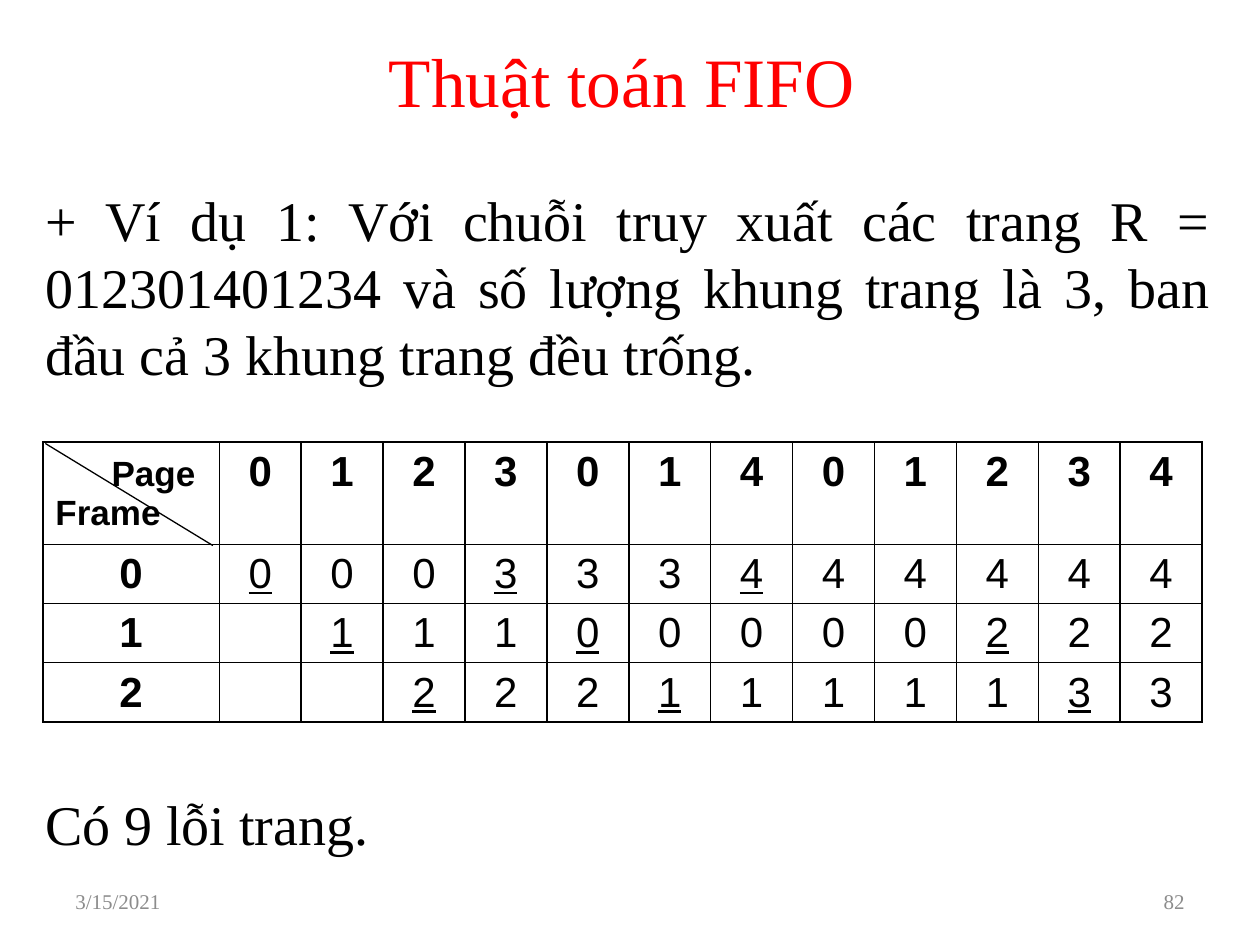
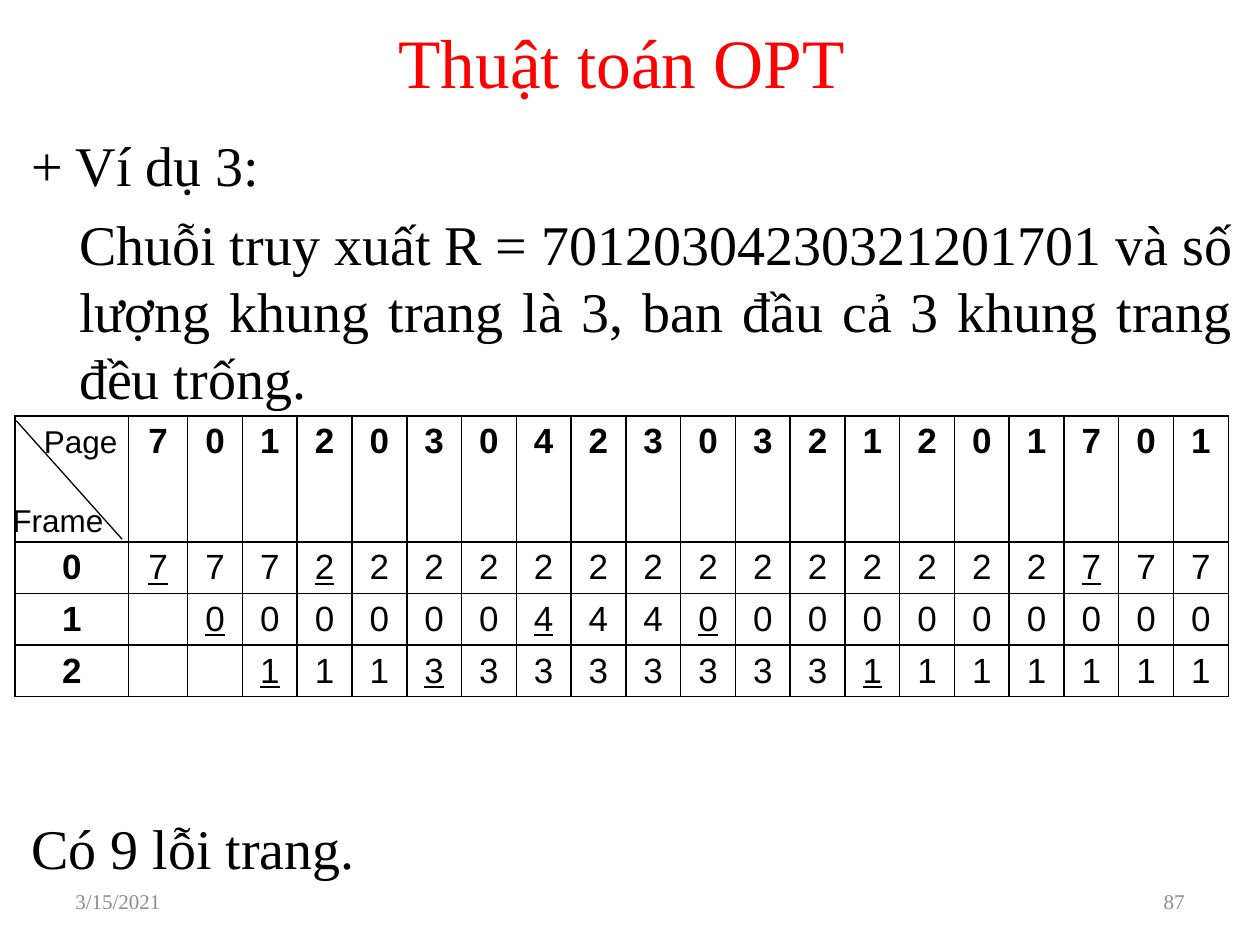
from lxml import etree
from pptx import Presentation
from pptx.dml.color import RGBColor
from pptx.enum import shapes, text
from pptx.oxml import ns
from pptx.util import Inches, Pt

RED = RGBColor(0xFF, 0x00, 0x00)
BLACK = RGBColor(0x00, 0x00, 0x00)
GREY = RGBColor(0x8C, 0x8C, 0x8C)
SERIF, SANS = "Times New Roman", "Arial"
LEFT, CENTER, RIGHT, JUSTIFY = (
    text.PP_ALIGN.LEFT, text.PP_ALIGN.CENTER,
    text.PP_ALIGN.RIGHT, text.PP_ALIGN.JUSTIFY)


def style(para, size, face=SERIF, color=BLACK, align=LEFT, bold=False):
    para.alignment = align
    font = para.font
    font.size, font.name, font.bold = Pt(size), face, bold
    font.color.rgb = color


def place(shape, left, top, width, height):
    shape.left, shape.top = Inches(left), Inches(top)
    shape.width, shape.height = Inches(width), Inches(height)


def add_title(slide, words, top, height):
    title = slide.shapes.title
    place(title, 1.02, top, 7.83, height)
    frame = title.text_frame
    frame.text = words
    frame.auto_size = text.MSO_AUTO_SIZE.NONE
    frame.vertical_anchor = text.MSO_ANCHOR.MIDDLE
    style(frame.paragraphs[0], 39.6, color=RED, align=CENTER)


def add_text(slide, words, box, size, **look):
    frame = slide.shapes.add_textbox(*map(Inches, box)).text_frame
    frame.word_wrap = True
    frame.text = words
    style(frame.paragraphs[0], size, **look)
    return frame


def add_body(slide, box, lines):
    """Write the task, then the answer below the space kept for the table."""
    frame = add_text(slide, "\n".join(lines), box, 32)
    for para in frame.paragraphs:
        style(para, 32, align=JUSTIFY)
        para.space_before = Pt(6.4)
    for para in frame.paragraphs[1:-1]:
        para._p.get_or_add_pPr().set("marL", str(Inches(0.38)))
    frame.paragraphs[-1].space_before = Pt(230)


def add_footer(slide, number):
    for words, left, align in (("3/15/2021", 0.5, LEFT), (number, 7.17, RIGHT)):
        frame = add_text(slide, words, (left, 6.95, 2.33, 0.4), 12,
                         color=GREY, align=align)
        frame.vertical_anchor = text.MSO_ANCHOR.MIDDLE


def add_line(slide, start, end):
    line = slide.shapes.add_connector(
        shapes.MSO_CONNECTOR.STRAIGHT, *map(Inches, start + end))
    line.line.color.rgb = BLACK
    line.line.width = Pt(0.75)
    etree.SubElement(line._element.spPr, ns.qn("a:effectLst"))


def frame_cell(cell):
    """Give a cell thin black borders, no fill and a tight lower margin."""
    props = cell._tc.get_or_add_tcPr()
    for side in ("lnL", "lnR", "lnT", "lnB"):
        edge = etree.SubElement(props, ns.qn("a:" + side), w=str(Pt(1)))
        fill = etree.SubElement(edge, ns.qn("a:solidFill"))
        etree.SubElement(fill, ns.qn("a:srgbClr"), val=str(BLACK))
    cell.fill.background()
    cell.margin_bottom = Inches(0.02)


def add_grid(slide, box, widths, heights, pages, frames, size):
    """Show each frame's page over time; a newly loaded page is underlined."""
    grid = slide.shapes.add_table(
        len(frames) + 1, len(pages) + 1, *map(Inches, box)).table
    grid.first_row = grid.horz_banding = False
    for col, width in zip(grid.columns, widths):
        col.width = Inches(width)
    for row, height in zip(grid.rows, heights):
        row.height = Inches(height)
    rows = [" " + pages] + [f"{i}{held}" for i, held in enumerate(frames)]
    for r, row in enumerate(rows):
        for c, page in enumerate(row):
            cell = grid.cell(r, c)
            frame_cell(cell)
            cell.text = page.strip()
            para = cell.text_frame.paragraphs[0]
            style(para, size, SANS, align=CENTER, bold=r == 0 or c == 0)
            if r and c and page != " ":
                para.font.underline = c == 1 or page != row[c - 1]
    return grid


def fill_corner(cell):
    cell.text = "Page\nFrame"
    cell.margin_top, cell.margin_right = Inches(0.1), Inches(0.19)
    for para, align in zip(cell.text_frame.paragraphs, (RIGHT, LEFT)):
        style(para, 20, SANS, align=align, bold=True)


def add_fifo(slide):
    add_title(slide, "Thuật toán FIFO", 0.24, 0.78)
    add_body(slide, (0.26, 1.42, 9.45, 5.6), [
        "+ Ví dụ 1: Với chuỗi truy xuất các trang R = 012301401234 và số "
        "lượng khung trang là 3, ban đầu cả 3 khung trang đều trống.",
        "Có 9 lỗi trang."])
    grid = add_grid(
        slide, (0.34, 3.51, 9.2, 2.22), [1.4] + [0.65] * 12,
        [0.81] + [0.47] * 3, "012301401234",
        ["000333444444", " 11100000222", "  2221111133"], 24)
    fill_corner(grid.cell(0, 0))
    add_footer(slide, "82")
    add_line(slide, (0.36, 3.52), (1.69, 4.33))


def add_opt(slide):
    add_title(slide, "Thuật toán OPT", 0.15, 0.67)
    add_body(slide, (0.15, 0.99, 9.74, 6.04), [
        "+ Ví dụ 3:",
        "Chuỗi truy xuất R = 70120304230321201701 và số lượng khung trang "
        "là 3, ban đầu cả 3 khung trang đều trống.",
        "Có 9 lỗi trang."])
    rest = (9.63 - 0.9 - 0.47) / 19
    add_grid(
        slide, (0.12, 3.3, 9.63, 2.23), [0.9, 0.47] + [rest] * 19,
        [1] + [0.41] * 3, "70120304230321201701",
        ["77722222222222222777", " 0000004440000000000",
         "  111333333331111111"], 20)
    add_footer(slide, "87")
    add_line(slide, (0.13, 3.34), (0.97, 4.28))
    add_text(slide, "Page", (0.25, 3.3, 0.84, 0.4), 18, face=SANS)
    add_text(slide, "Frame", (0, 3.93, 0.97, 0.4), 18, face=SANS)


def main():
    deck = Presentation()
    deck.slide_width, deck.slide_height = Inches(10), Inches(7.5)
    for build in (add_fifo, add_opt):
        build(deck.slides.add_slide(deck.slide_layouts[5]))
    deck.save("out.pptx")


if __name__ == "__main__":
    main()
